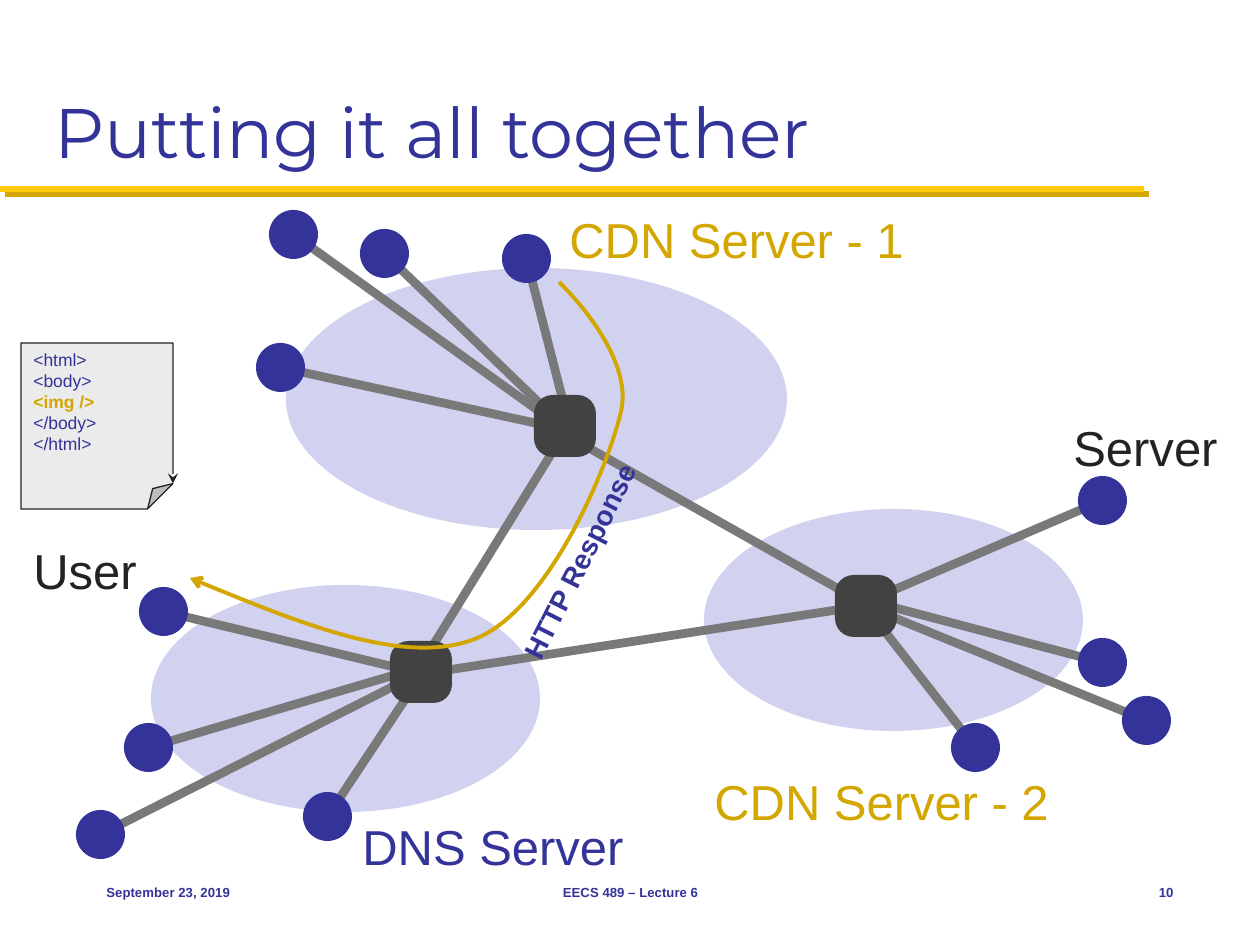
from collections import namedtuple

from lxml.etree import SubElement
from pptx import Presentation
from pptx.dml.color import RGBColor
from pptx.enum.shapes import MSO_CONNECTOR, MSO_SHAPE
from pptx.enum.text import MSO_ANCHOR, MSO_AUTO_SIZE, PP_ALIGN
from pptx.oxml.ns import qn
from pptx.util import Inches, Pt

NAVY = RGBColor(0x33, 0x33, 0x99)
GOLD = RGBColor(0xD3, 0xA6, 0x00)
YELLOW = RGBColor(0xFF, 0xCB, 0x05)
LILAC = RGBColor(0xD1, 0xD1, 0xF0)
GRAY = RGBColor(0x79, 0x79, 0x79)
DARK = RGBColor(0x42, 0x42, 0x42)
INK = RGBColor(0x23, 0x23, 0x23)
PAPER = RGBColor(0xEB, 0xEB, 0xEB)

HOST, ROUTER = 49, 62  # node sizes

# Router and hosts are offsets from the cloud's corner;
# each host is (left, top, link end x, link end y)
Network = namedtuple("Network", "cloud router hosts")
NETWORKS = [
    Network((704, 509, 379, 222), (131, 66),
            [(374, -33, 157, 95), (374, 129, 165, 92),
             (418, 187, 159, 96), (247, 214, 165, 102)]),
    Network((286, 268, 501, 262), (248, 127),
            [(-30, 75, 272, 160), (-17, -58, 268, 154),
             (74, -39, 272, 153), (216, -34, 285, 164)]),
    Network((151, 585, 389, 227), (239, 56),
            [(-12, 2, 264, 87), (-27, 138, 264, 84),
             (-75, 225, 261, 92), (152, 207, 269, 92)]),
]
TRUNKS = [(557, 430, 867, 605), (566, 430, 421, 665), (869, 605, 422, 674)]


def px(n):
    return round(n * 914400 / 126)


def write(p, text, size=28, color=NAVY, bold=False, font="Arial", align=PP_ALIGN.LEFT):
    p.alignment = align
    r = p.add_run()
    r.text = text
    r.font.name, r.font.size, r.font.bold = font, Pt(size), bold
    r.font.color.rgb = color


def add_label(s, box, text, anchor=MSO_ANCHOR.TOP, wrap=True, rotation=0, **fmt):
    sp = s.shapes.add_textbox(*map(px, box))
    sp.rotation = rotation
    tf = sp.text_frame
    tf.word_wrap, tf.vertical_anchor = wrap, anchor
    write(tf.paragraphs[0], text, **fmt)


def add_solid(s, kind, box, color):
    sp = s.shapes.add_shape(kind, *map(px, box))
    sp.shadow.inherit = False
    sp.fill.solid()
    sp.fill.fore_color.rgb = color
    sp.line.fill.background()
    return sp


def add_line(s, ends, color=GRAY, width=5):
    c = s.shapes.add_connector(MSO_CONNECTOR.STRAIGHT, *map(px, ends))
    c.line.color.rgb, c.line.width = color, Pt(width)
    SubElement(c._element.spPr, qn("a:effectLst"))


def add_arrowhead(sp, end, kind):
    SubElement(sp.line._get_or_add_ln(), qn(f"a:{end}"), type=kind)


def add_title(s, box, text):
    sp = s.shapes.title
    sp.left, sp.top, sp.width, sp.height = map(px, box)
    tf = sp.text_frame
    tf.auto_size, tf.vertical_anchor = MSO_AUTO_SIZE.NONE, MSO_ANCHOR.BOTTOM
    write(tf.paragraphs[0], text, size=40, font="Montserrat")


def add_rule(s, left, top, width):
    for shift, color in ((5, GOLD), (0, YELLOW)):
        y = top + shift
        add_line(s, (left + shift, y, left + width + shift, y), color, 3.5)


def add_nodes(s, net):
    x, y = net.cloud[:2]
    # Links run from host centres to the router
    for hx, hy, ex, ey in net.hosts:
        add_line(s, (x + hx + HOST / 2, y + hy + HOST / 2, x + ex, y + ey))
    for hx, hy, *_ in net.hosts:
        add_solid(s, MSO_SHAPE.OVAL, (x + hx, y + hy, HOST, HOST), NAVY)


def add_router(s, net):
    x, y = net.cloud[0] + net.router[0], net.cloud[1] + net.router[1]
    sp = add_solid(s, MSO_SHAPE.ROUNDED_RECTANGLE, (x, y, ROUTER, ROUTER), DARK)
    sp.adjustments[0] = 0.3


def add_page(s, box):
    sp = add_solid(s, MSO_SHAPE.FOLDED_CORNER, box, PAPER)
    sp.line.color.rgb, sp.line.width = INK, Pt(0.75)
    add_arrowhead(sp, "tailEnd", "stealth")
    tf = sp.text_frame
    tf.vertical_anchor = MSO_ANCHOR.TOP
    for i, tag in enumerate(["<html>", "<body>", "<img />", "</body>", "</html>"]):
        p = tf.add_paragraph() if i else tf.paragraphs[0]
        image = tag == "<img />"
        write(p, tag, size=10, color=GOLD if image else NAVY, bold=image)


def bezier(p0, p1, p2, p3, steps=30):
    for i in range(1, steps + 1):
        t = i / steps
        u = 1 - t
        yield tuple(u**3 * a + 3 * u * u * t * b + 3 * u * t * t * c + t**3 * d
                    for a, b, c, d in zip(p0, p1, p2, p3))


def add_response_path(s, left, top):
    user, bend, server = (0, 296), (285, 357), (431, 130)
    end = (369, 0)
    points = [*bezier(user, (107, 340), (213, 385), bend),
              *bezier(bend, (357, 329), (417, 189), server),
              *bezier(server, (445, 71), end, end)]
    fb = s.shapes.build_freeform(px(left + user[0]), px(top + user[1]))
    fb.add_line_segments([(px(left + x), px(top + y)) for x, y in points], close=False)
    sp = fb.convert_to_shape()
    sp.shadow.inherit = False
    sp.fill.background()
    sp.line.color.rgb, sp.line.width = GOLD, Pt(2.25)
    add_arrowhead(sp, "headEnd", "arrow")


def add_footer(s, top, height):
    for left, width, text, align in (
            (94, 262, "September 23, 2019", PP_ALIGN.LEFT),
            (431, 399, "EECS 489 – Lecture 6", PP_ALIGN.CENTER),
            (1102, 84, "10", PP_ALIGN.RIGHT)):
        add_label(s, (left, top, width, height), text, anchor=MSO_ANCHOR.MIDDLE,
                  size=7.5, bold=True, align=align)


def main():
    prs = Presentation()
    prs.slide_width, prs.slide_height = Inches(10), Inches(7.5)
    s = prs.slides.add_slide(prs.slide_layouts[5])

    # Heading
    add_rule(s, 0, 189, 1144)
    add_title(s, (42, 21, 1176, 158), "Putting it all together")

    # Networks, from clouds up to routers
    for net in NETWORKS:
        add_solid(s, MSO_SHAPE.OVAL, net.cloud, LILAC)
    for net in NETWORKS:
        add_nodes(s, net)
    for ends in TRUNKS:
        add_line(s, ends)
    for net in NETWORKS:
        add_router(s, net)

    # Labels and web page
    for box, text, color in (
            ((21, 534, 130, 72), "User", INK),
            ((1061, 411, 173, 72), "Server", INK),
            ((350, 810, 290, 72), "DNS Server", NAVY),
            ((557, 203, 364, 72), "CDN Server - 1", GOLD),
            ((702, 765, 364, 72), "CDN Server - 2", GOLD)):
        add_label(s, box, text, color=color)
    add_page(s, (21, 343, 152, 166))

    # HTTP response
    add_response_path(s, 190, 282)
    add_label(s, (459, 538, 241, 47), "HTTP Response", wrap=False, rotation=296.8,
              size=16, bold=True, align=PP_ALIGN.CENTER)

    add_footer(s, 861, 63)
    prs.save("out.pptx")


if __name__ == "__main__":
    main()
